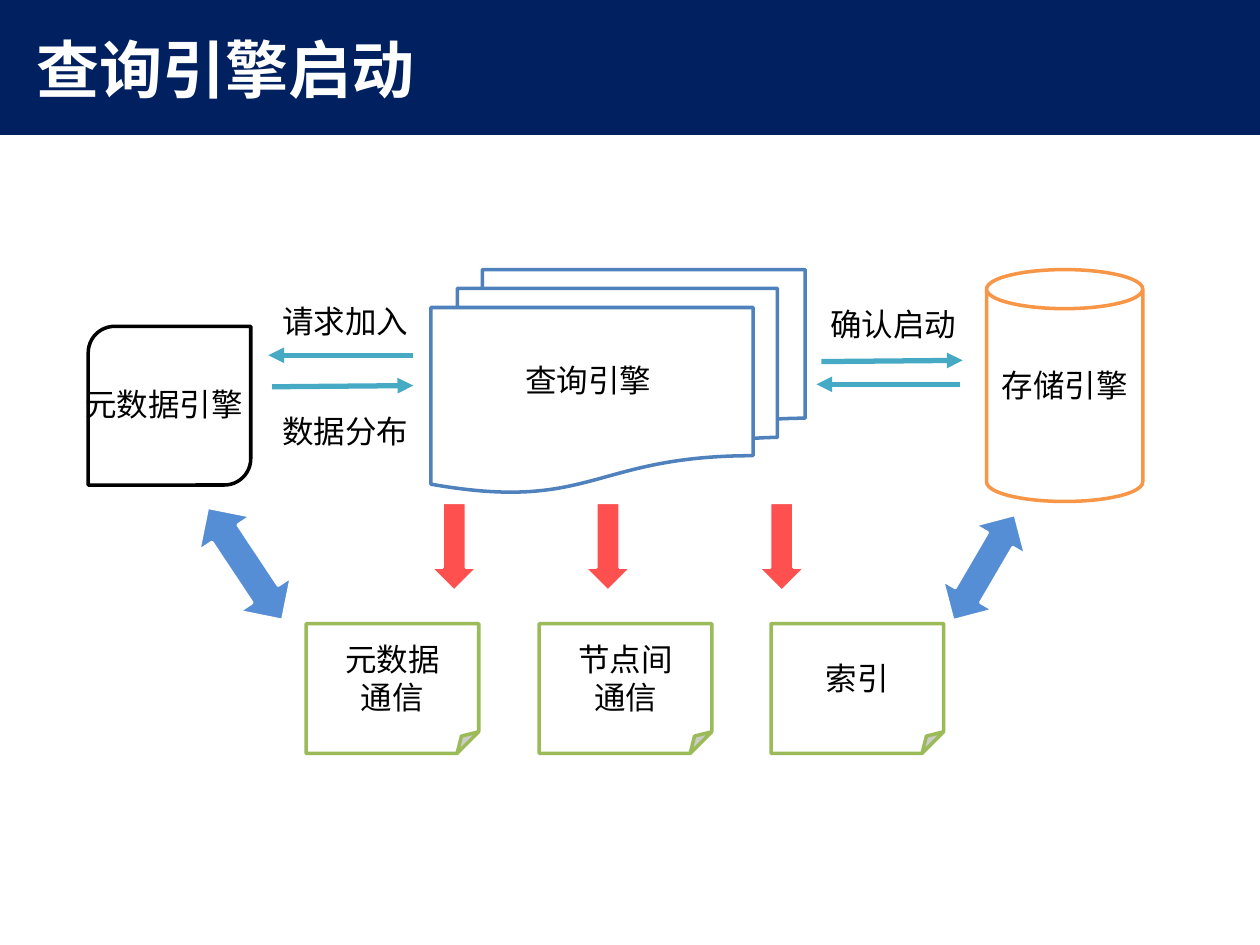
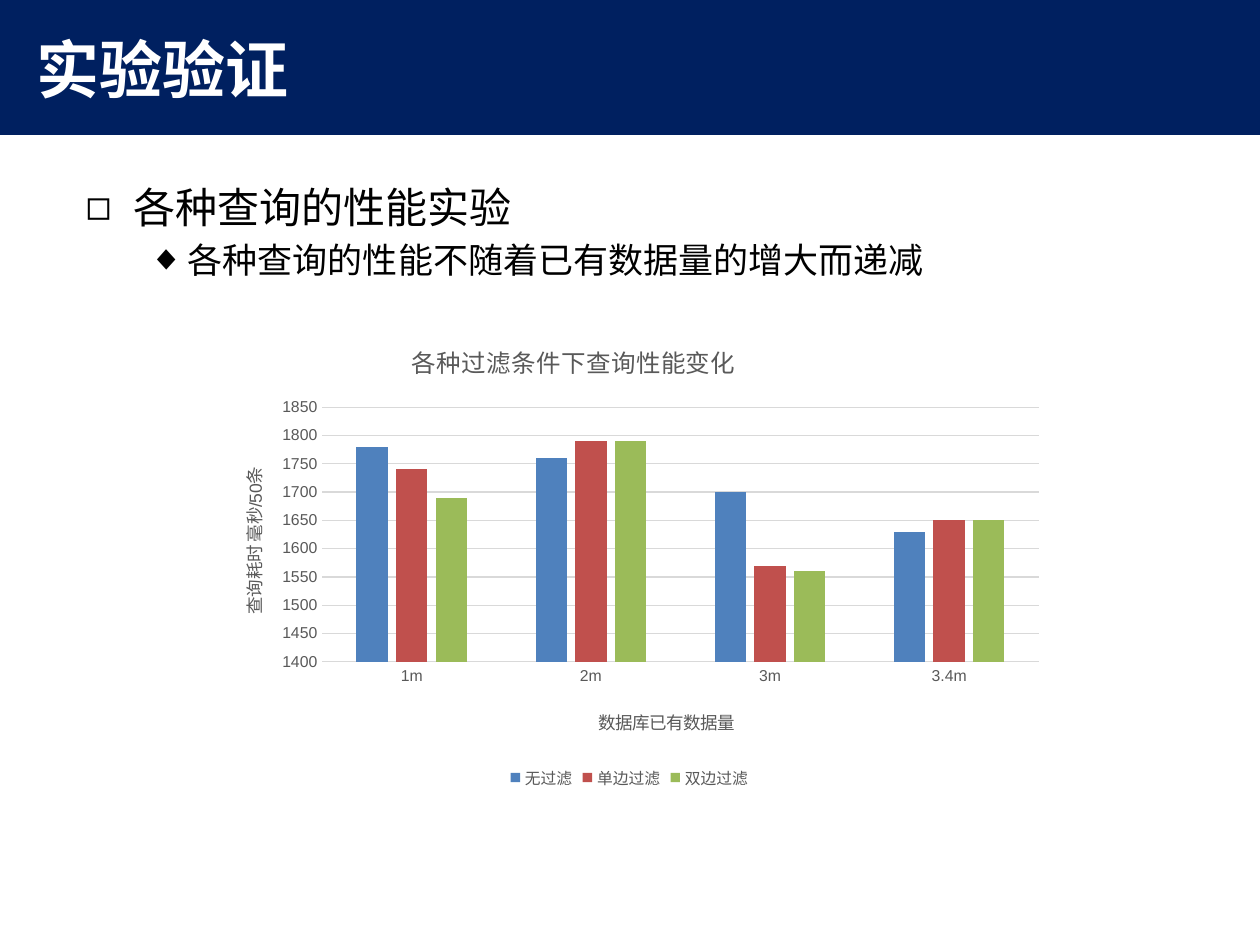
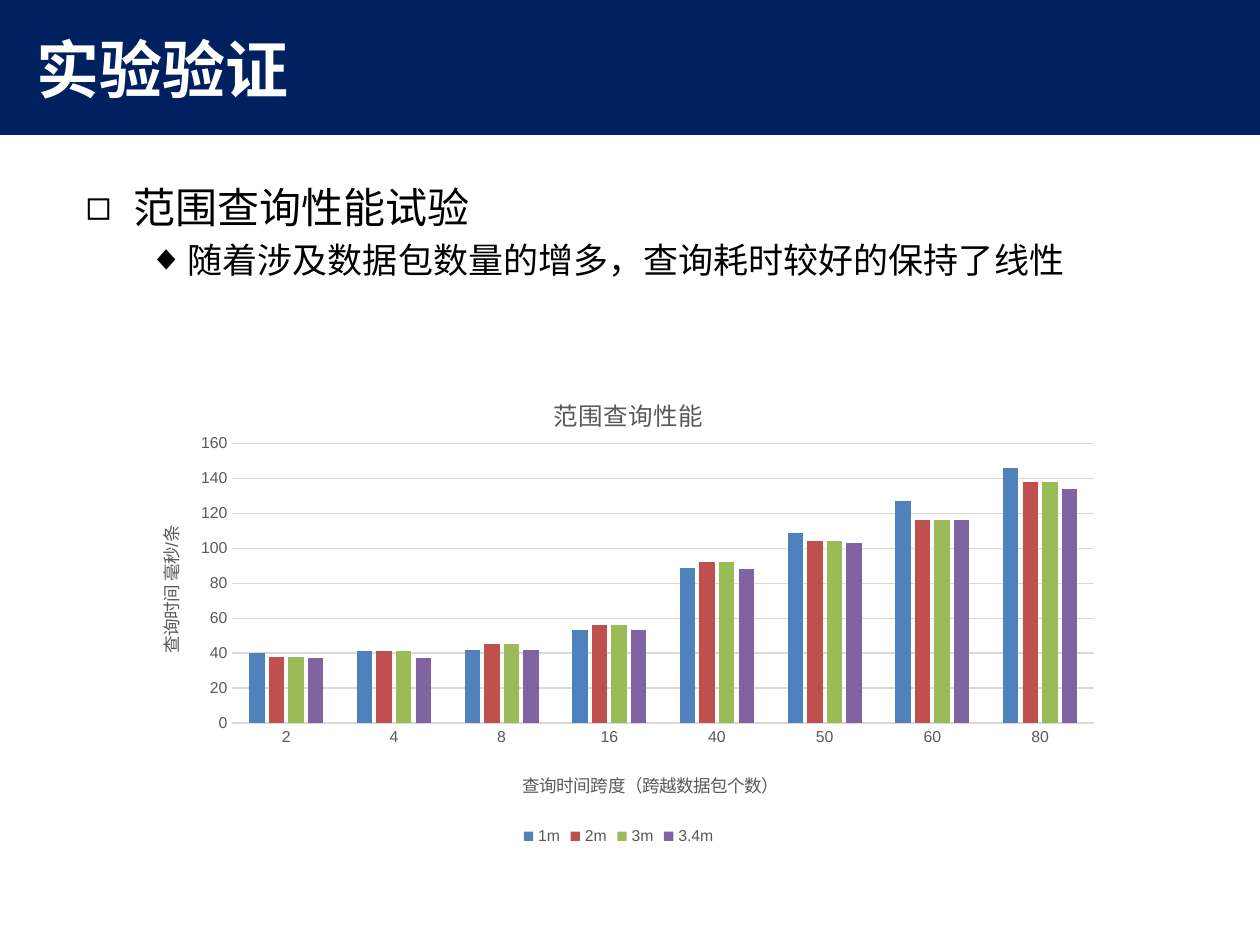
from lxml import etree
from pptx import Presentation
from pptx.chart.data import CategoryChartData
from pptx.dml.color import RGBColor
from pptx.enum.chart import XL_CHART_TYPE, XL_LEGEND_POSITION, XL_TICK_MARK
from pptx.enum.shapes import MSO_CONNECTOR, MSO_SHAPE
from pptx.enum.text import MSO_ANCHOR, MSO_AUTO_SIZE, PP_ALIGN
from pptx.oxml.ns import qn
from pptx.util import Pt

RECTANGLE = MSO_SHAPE.RECTANGLE
CAN = MSO_SHAPE.CAN
DOCUMENTS = MSO_SHAPE.FLOWCHART_MULTIDOCUMENT
ROUND_DIAGONAL = MSO_SHAPE.ROUND_2_DIAG_RECTANGLE
NOTE = MSO_SHAPE.FOLDED_CORNER
DOWN_ARROW = MSO_SHAPE.DOWN_ARROW
DOUBLE_ARROW = MSO_SHAPE.UP_DOWN_ARROW
STRAIGHT = MSO_CONNECTOR.STRAIGHT
MIDDLE = MSO_ANCHOR.MIDDLE
LEFT, CENTER = PP_ALIGN.LEFT, PP_ALIGN.CENTER
GROW = MSO_AUTO_SIZE.SHAPE_TO_FIT_TEXT
COLUMNS = XL_CHART_TYPE.COLUMN_CLUSTERED
BOTTOM = XL_LEGEND_POSITION.BOTTOM
NO_TICKS = XL_TICK_MARK.NONE

PX = 9144
NAVY, WHITE, BLACK = "002060", "FFFFFF", "000000"
BLUE, RED, GREEN, PURPLE = "4F81BD", "C0504D", "9BBB59", "8064A2"
ORANGE, TEAL, CORAL, SKY = "F79646", "46AAC5", "FF5050", "558ED5"
GRAY, GRID = "595959", "D9D9D9"
HAN_FONT = "Noto Sans CJK SC"


def color(value):
    return RGBColor.from_string(value)


def add_figure(slide, kind, box, fill, outline=None, width=2):
    figure = slide.shapes.add_shape(kind, *(n * PX for n in box))
    figure.shadow.inherit = False
    figure.fill.solid()
    figure.fill.fore_color.rgb = color(fill)
    if outline:
        figure.line.color.rgb = color(outline)
        figure.line.width = Pt(width)
    else:
        figure.line.fill.background()
    return figure


prs = Presentation()
prs.slide_width, prs.slide_height = 1000 * PX, 750 * PX

startup = prs.slides.add_slide(prs.slide_layouts[5])
filters = prs.slides.add_slide(prs.slide_layouts[1])
ranges = prs.slides.add_slide(prs.slide_layouts[1])

band = add_figure(startup, RECTANGLE, (0, -1, 1000, 108), NAVY)
prs.slide_master.shapes.element.insert(2, band.element)

for slide, heading in (
    (startup, "查询引擎启动"),
    (filters, "实验验证"),
    (ranges, "实验验证"),
):
    title = slide.shapes.title
    title.left, title.top, title.width, title.height = 19 * PX, 17 * PX, 965 * PX, 75 * PX
    title.text_frame.text = heading
    title.text_frame.vertical_anchor = MIDDLE
    title.text_frame.paragraphs[0].alignment = LEFT
    font = title.text_frame.paragraphs[0].runs[0].font
    font.name, font.size, font.bold = "Times New Roman", Pt(36), True
    font.color.rgb = color(WHITE)

add_figure(startup, CAN, (783, 214, 124, 184), WHITE, ORANGE)
add_figure(startup, DOCUMENTS, (342, 214, 297, 177), WHITE, BLUE)
add_figure(startup, ROUND_DIAGONAL, (70, 259, 129, 126), WHITE, BLACK)

for left, note_text in ((612, "索引"), (428, "节点间\n通信"), (243, "元数据\n通信")):
    note = add_figure(startup, NOTE, (left, 495, 137, 103), WHITE, GREEN)
    note.text_frame.text = note_text
    note.text_frame.word_wrap = False
    note.text_frame.vertical_anchor = MIDDLE
    for paragraph in note.text_frame.paragraphs:
        paragraph.alignment = CENTER
        font = paragraph.runs[0].font
        font.name, font.size = HAN_FONT, Pt(18)
        font.color.rgb = color(BLACK)

for left in (342, 464, 602):
    add_figure(startup, DOWN_ARROW, (left, 399, 37, 70), CORAL, WHITE, 1.5)

for box, angle in (((758, 402, 46, 97), 30.3), ((170, 394, 49, 107), 326.4)):
    exchange = add_figure(startup, DOUBLE_ARROW, box, SKY, WHITE, 1.5)
    exchange.rotation = angle

for ends in (
    (762, 305, 648, 305),
    (328, 282, 213, 282),
    (652, 287, 764, 286),
    (216, 307, 328, 306),
):
    message = startup.shapes.add_connector(STRAIGHT, *(n * PX for n in ends))
    message.line.color.rgb = color(TEAL)
    message.line.width = Pt(3)
    properties = message.element.spPr
    etree.SubElement(properties.find(qn("a:ln")), qn("a:tailEnd"), type="triangle")
    etree.SubElement(properties, qn("a:effectLst"))

for left, top, width, label_text in (
    (58, 301, 146, "元数据引擎"),
    (407, 282, 121, "查询引擎"),
    (785, 286, 121, "存储引擎"),
    (214, 235, 121, "请求加入"),
    (649, 237, 121, "确认启动"),
    (214, 322, 121, "数据分布"),
):
    label = startup.shapes.add_textbox(left * PX, top * PX, width * PX, 40 * PX)
    label.text_frame.text = label_text
    label.text_frame.word_wrap = False
    label.text_frame.auto_size = GROW
    font = label.text_frame.paragraphs[0].runs[0].font
    font.name, font.size = "Arial", Pt(18)
    font.color.rgb = color(BLACK)

experiments = (
    {
        "slide": filters,
        "points": ("各种查询的性能实验", "各种查询的性能不随着已有数据量的增大而递减"),
        "box": (161, 256, 677, 374),
        "titles": ("各种过滤条件下查询性能变化", "数据库已有数据量", "查询耗时 毫秒/50条"),
        "title_spots": ((0.24, 0.03), (0.46, 0.81), (0.04, 0.3)),
        "plot": (0.14, 0.18, 0.84, 0.54),
        "scale": (1400, 1850, 50),
        "categories": ("1m", "2m", "3m", "3.4m"),
        "series": (
            ("无过滤", (1780, 1760, 1700, 1630)),
            ("单边过滤", (1740, 1790, 1570, 1650)),
            ("双边过滤", (1690, 1790, 1560, 1650)),
        ),
    },
    {
        "slide": ranges,
        "points": ("范围查询性能试验", "随着涉及数据包数量的增多，查询耗时较好的保持了线性"),
        "box": (98, 286, 786, 389),
        "titles": ("范围查询性能", "查询时间跨度（跨越数据包个数）", "查询时间 毫秒/条"),
        "title_spots": ((0.43, 0.06), (0.4, 0.83), (0.03, 0.33)),
        "plot": (0.11, 0.17, 0.87, 0.57),
        "scale": (0, 160, 20),
        "categories": ("2", "4", "8", "16", "40", "50", "60", "80"),
        "series": (
            ("1m", (40, 41, 42, 53, 89, 109, 127, 146)),
            ("2m", (38, 41, 45, 56, 92, 104, 116, 138)),
            ("3m", (38, 41, 45, 56, 92, 104, 116, 138)),
            ("3.4m", (37, 37, 42, 53, 88, 103, 116, 134)),
        ),
    },
)

text_roots = [slide.element for slide in prs.slides]

for experiment in experiments:
    slide = experiment["slide"]
    body = slide.placeholders[1]
    body.left, body.top, body.width, body.height = 58 * PX, 139 * PX, 875 * PX, 520 * PX
    body.text_frame.text = "\n".join(experiment["points"])
    for level, (paragraph, bullet, margin, hanging, size) in enumerate(
        zip(body.text_frame.paragraphs, "◻◆", (38, 81), (38, 31), (24, 20))
    ):
        paragraph.level = level
        font = paragraph.runs[0].font
        font.name, font.size = "TeX Gyre Schola", Pt(size)
        font.color.rgb = color(BLACK)
        settings = paragraph._p.get_or_add_pPr()
        settings.set("marL", str(margin * PX))
        settings.set("indent", str(-hanging * PX))
        etree.SubElement(settings, qn("a:buChar"), char=bullet)

    chart_data = CategoryChartData(number_format="0")
    chart_data.categories = experiment["categories"]
    for name, values in experiment["series"]:
        chart_data.add_series(name, values)
    box = (n * PX for n in experiment["box"])
    chart = slide.shapes.add_chart(COLUMNS, *box, chart_data).chart
    chart.font.name, chart.font.size = "Arial", Pt(10)
    chart.font.color.rgb = color(BLACK)

    columns = chart.plots[0]
    columns.gap_width, columns.overlap = 219, -27
    columns.vary_by_categories = False
    for series, fill in zip(columns.series, (BLUE, RED, GREEN, PURPLE)):
        series.format.fill.solid()
        series.format.fill.fore_color.rgb = color(fill)

    chart.has_legend = True
    chart.legend.position = BOTTOM
    chart.legend.include_in_layout = False
    category_axis, value_axis = chart.category_axis, chart.value_axis
    for axis in (category_axis, value_axis):
        axis.major_tick_mark = axis.minor_tick_mark = NO_TICKS
    for font in (chart.legend.font, category_axis.tick_labels.font, value_axis.tick_labels.font):
        font.name, font.size = "Arial", Pt(9)
        font.color.rgb = color(GRAY)

    value_axis.minimum_scale, value_axis.maximum_scale, value_axis.major_unit = experiment["scale"]
    value_axis.tick_labels.number_format = "0"
    value_axis.tick_labels.number_format_is_linked = False
    value_axis.format.line.fill.background()
    value_axis.has_major_gridlines = True
    for line in (category_axis.format.line, value_axis.major_gridlines.format.line):
        line.color.rgb = color(GRID)
        line.width = Pt(0.75)

    placed = [(chart.element.find(".//" + qn("c:plotArea")), experiment["plot"])]
    headings = (chart.chart_title, category_axis.axis_title, value_axis.axis_title)
    for heading, wording, spot, size in zip(
        headings, experiment["titles"], experiment["title_spots"], (14, 10, 10)
    ):
        heading.text_frame.text = wording
        font = heading.text_frame.paragraphs[0].runs[0].font
        font.name, font.size, font.bold = "Arial", Pt(size), False
        font.color.rgb = color(GRAY)
        placed.append((heading.element, spot))

    for element, spot in placed:
        for automatic in element.findall(qn("c:layout")):
            element.remove(automatic)
        layout = etree.Element(qn("c:layout"))
        manual = etree.SubElement(layout, qn("c:manualLayout"))
        if len(spot) == 4:
            etree.SubElement(manual, qn("c:layoutTarget"), val="inner")
        for mode in ("xMode", "yMode"):
            etree.SubElement(manual, qn("c:" + mode), val="edge")
        for side, share in zip("xywh", spot):
            etree.SubElement(manual, qn("c:" + side), val=str(share))
        element.insert(0 if len(spot) == 4 else 1, layout)
    text_roots.append(chart.element)

for root in text_roots:
    for latin in list(root.iter(qn("a:latin"))):
        latin.addnext(etree.Element(qn("a:ea"), typeface=HAN_FONT))

prs.save("out.pptx")
